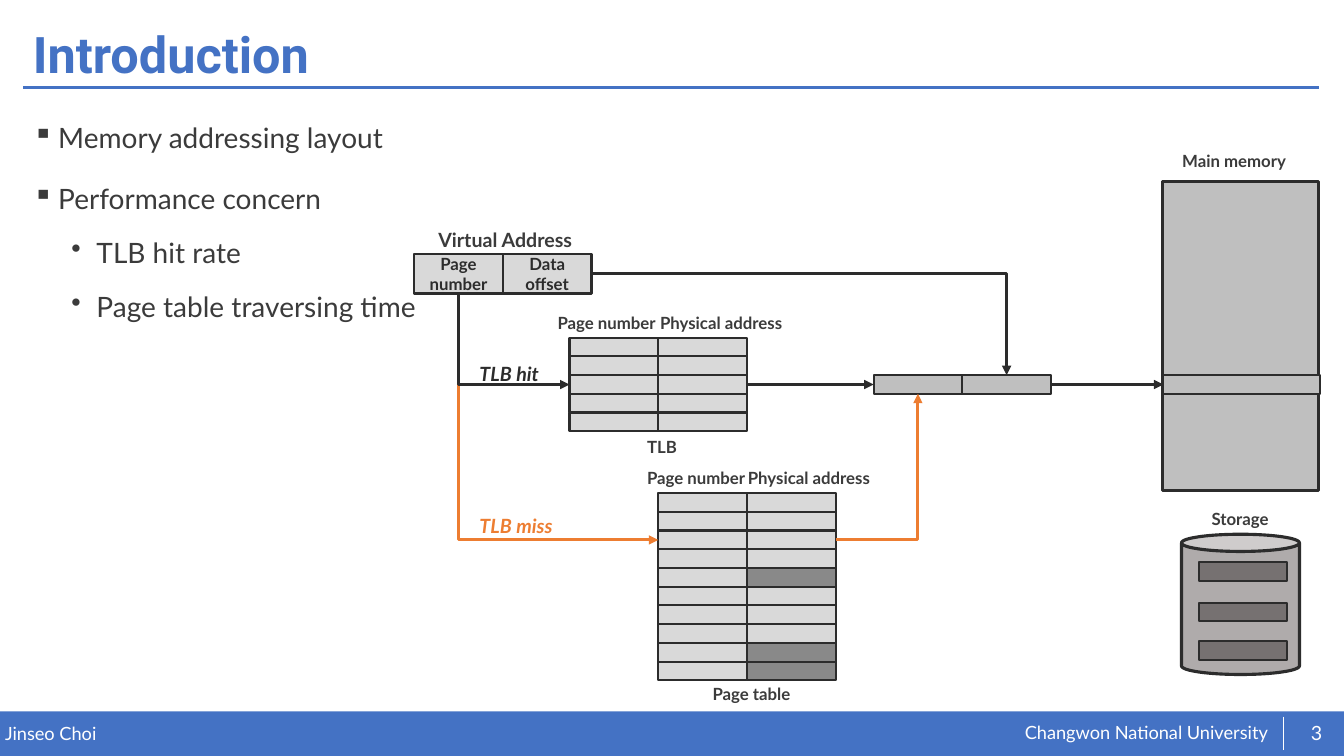
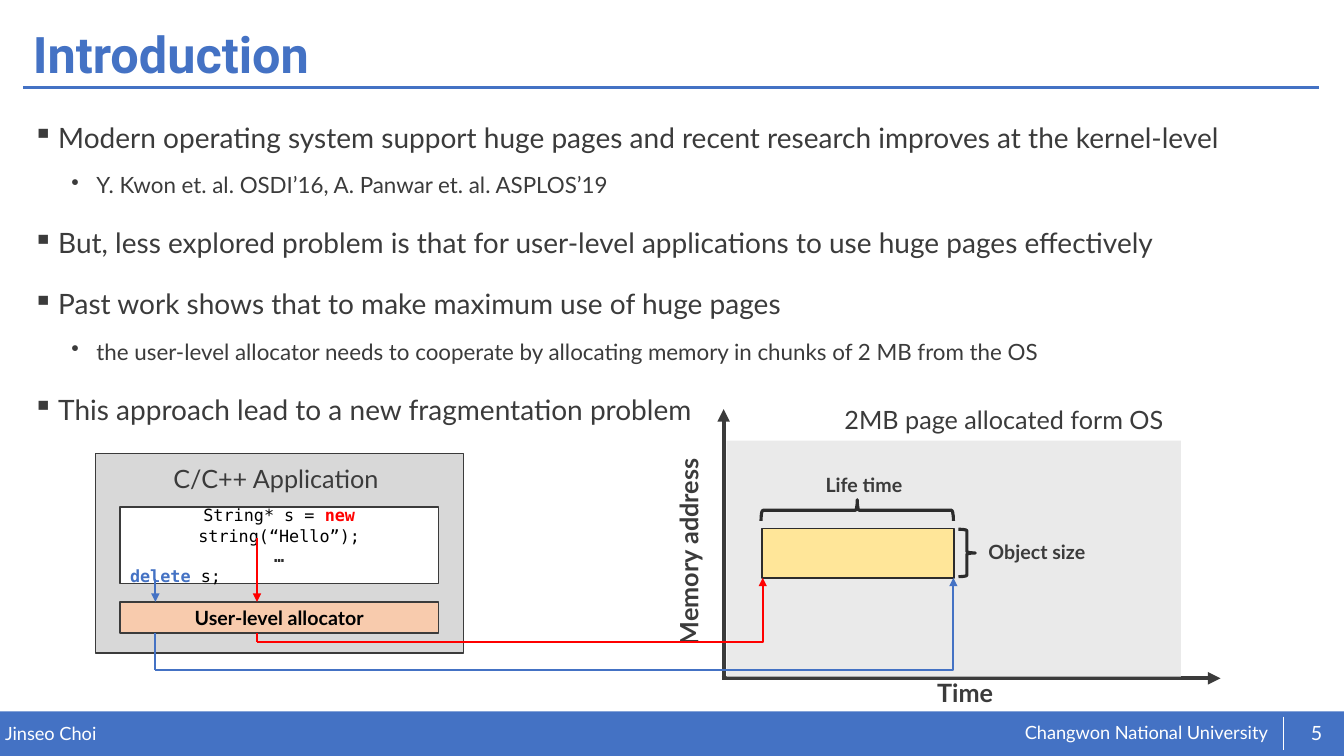
from lxml import etree
from pptx import Presentation
from pptx.dml.color import RGBColor
from pptx.enum.shapes import MSO_CONNECTOR, MSO_SHAPE
from pptx.enum.text import MSO_ANCHOR, PP_ALIGN
from pptx.oxml.ns import qn
from pptx.util import Inches, Pt

RECT, CAN, BRACE = MSO_SHAPE.RECTANGLE, MSO_SHAPE.CAN, MSO_SHAPE.LEFT_BRACE
STRAIGHT, ELBOW = MSO_CONNECTOR.STRAIGHT, MSO_CONNECTOR.ELBOW
LEFT, CENTER = PP_ALIGN.LEFT, PP_ALIGN.CENTER
TOP, MIDDLE = MSO_ANCHOR.TOP, MSO_ANCHOR.MIDDLE
LEFT_SIDE, RIGHT_SIDE = 1, 3
ACROSS_FIRST, DOWN_FIRST = 100000, 0

SLIDE_W, SLIDE_H = Inches(13.33), Inches(7.5)
COLUMNS, ROWS = 160, 90
CELL_W, CELL_H = 10.56, 2.23

SANS, HEADING, MONO = "Lato", "Roboto", "DejaVu Sans Mono"
BLUE, ORANGE, RED, WHITE, BLACK = "4472C4", "ED7D31", "FF0000", "FFFFFF", "000000"
TEXT, INK = "3B3B3B", "2C2C2C"
PALE, MID_GREY, DARK_GREY = "D9D9D9", "BFBFBF", "898989"


def rgb(value):
    """Turn a hex string into a colour."""
    return RGBColor.from_string(value)


def col(count):
    """Length of a number of grid columns."""
    return round(SLIDE_W * count / COLUMNS)


def row(count):
    """Length of a number of grid rows."""
    return round(SLIDE_H * count / ROWS)


def place(box):
    """Turn a grid box (left, top, width, height) into lengths."""
    left, top, width, height = box
    return col(left), row(top), col(width), row(height)


def add_run(paragraph, text, size, color=TEXT, font=SANS, bold=False, italic=False):
    """Append one styled run."""
    run = paragraph.add_run()
    run.text = text
    run.font.size, run.font.name = Pt(size), font
    run.font.bold, run.font.italic = bold, italic
    run.font.color.rgb = rgb(color)


def label(slide, box, text, size=12, align=LEFT, anchor=TOP, inset=True, **style):
    """Add a one-line text box."""
    caption = slide.shapes.add_textbox(*place(box))
    frame = caption.text_frame
    frame.word_wrap, frame.vertical_anchor = True, anchor
    if not inset:
        frame.margin_left = frame.margin_right = 0
        frame.margin_top = frame.margin_bottom = 0
    frame.paragraphs[0].alignment = align
    add_run(frame.paragraphs[0], text, size, **style)
    return caption


def block(slide, box, fill=None, line=INK, width=1.5, kind=RECT, rotation=0):
    """Add a preset shape with optional fill and outline."""
    shape = slide.shapes.add_shape(kind, *place(box))
    shape.shadow.inherit = False
    shape.rotation = rotation
    if fill:
        shape.fill.solid()
        shape.fill.fore_color.rgb = rgb(fill)
    else:
        shape.fill.background()
    if line:
        shape.line.color.rgb = rgb(line)
        shape.line.width = Pt(width)
    else:
        shape.line.fill.background()
    return shape


def write(shape, lines):
    """Fill a shape with (alignment, runs) lines, each run being (text, style)."""
    frame = shape.text_frame
    frame.word_wrap, frame.vertical_anchor = True, MIDDLE
    for index, (align, runs) in enumerate(lines):
        paragraph = frame.add_paragraph() if index else frame.paragraphs[0]
        paragraph.alignment = align
        for text, style in runs:
            add_run(paragraph, text, **style)


def connect(slide, start, end, color=INK, width=2.25, arrow=True, bend=None):
    """Draw a straight connector, or one bent at a share of its width."""
    kind = STRAIGHT if bend is None else ELBOW
    link = slide.shapes.add_connector(
        kind, col(start[0]), row(start[1]), col(end[0]), row(end[1]))
    link.line.color.rgb = rgb(color)
    link.line.width = Pt(width)
    properties = link._element.spPr
    if bend is not None:
        guides = properties.find(qn("a:prstGeom")).get_or_add_avLst()
        etree.SubElement(guides, qn("a:gd"), name="adj1", fmla=f"val {bend}")
    if arrow:
        etree.SubElement(properties.find(qn("a:ln")), qn("a:tailEnd"), type="triangle")
    etree.SubElement(properties, qn("a:effectLst"))
    return link


def join(slide, source, target):
    """Draw an arrow from the right side of one box to the left of the next."""
    link = connect(slide, (0, 0), (1, 1))
    link.begin_connect(source, RIGHT_SIDE)
    link.end_connect(target, LEFT_SIDE)


def cell_grid(slide, left, top, rows, fill=PALE, dark=()):
    """Draw a two-column lookup table and return its cells by (row, column)."""
    return {
        (r, c): block(slide, (left + c * CELL_W, top + r * CELL_H, CELL_W, CELL_H),
                      DARK_GREY if (r, c) in dark else fill)
        for r in range(rows) for c in range(2)}


def bullets(slide, items):
    """Write the body as (level, size, text) bullets."""
    body = slide.shapes.add_textbox(*place((2.75, 12.1, 154.3, 67.6)))
    frame = body.text_frame
    frame.word_wrap = True
    for index, (level, size, text) in enumerate(items):
        paragraph = frame.add_paragraph() if index else frame.paragraphs[0]
        properties = paragraph._p.get_or_add_pPr()
        properties.set("marL", str(Inches(0.63 if level else 0.25)))
        properties.set("indent", str(-Inches(0.25)))
        etree.SubElement(properties, qn("a:buChar"), char="•" if level else "▪")
        paragraph.level = level
        paragraph.line_spacing = 1.4
        paragraph.space_before = Pt((5 if level else 10) if index else 0)
        add_run(paragraph, text, size)


def new_slide(deck, title, number):
    """Add a slide with the shared title, rule and footer."""
    slide = deck.slides.add_slide(deck.slide_layouts[6])
    block(slide, (0, 84.7, COLUMNS, 5.3), BLUE, None)
    footer = {"color": WHITE, "inset": False}
    label(slide, (122, 85.9, 30, 2.8), "Changwon National University", 13, **footer)
    label(slide, (0.6, 86, 78.6, 2.7), "Jinseo Choi", 13, **footer)
    connect(slide, (2.75, 10.45), (157, 10.45), BLUE, 2, arrow=False)
    connect(slide, (152.75, 85.3), (152.75, 89.3), WHITE, 0.5, arrow=False)
    heading = label(slide, (2.75, 2.15, 154.3, 9.25), title, 36, anchor=MIDDLE,
                    color=BLUE, font=HEADING, bold=True)
    heading.text_frame.paragraphs[0].line_spacing = 0.9
    label(slide, (153.85, 84.85, 5.75, 4.8), str(number), 14, CENTER, MIDDLE, **footer)
    return slide


def addressing_slide(deck):
    """Show how a virtual address is translated."""
    slide = new_slide(deck, "Introduction", 3)
    bullets(slide, [
        (0, 20, "Memory addressing layout"),
        (0, 20, "Performance concern"),
        (1, 20, "TLB hit rate"),
        (1, 20, "Page table traversing time")])

    tlb_left, tlb_top = 67.8, 40.2
    table_left, table_top = tlb_left + CELL_W, 58.7
    hit_top = tlb_top + 2 * CELL_H
    hit_middle = hit_top + CELL_H / 2
    miss_middle = table_top + 2.5 * CELL_H
    address_left, virtual_left, virtual_top, virtual_height = 104, 49.3, 30.25, 4.7
    memory_left, memory_width = 138.4, 18.6
    page_x = virtual_left + CELL_W / 2
    virtual_bottom = virtual_top + virtual_height

    for left, top, width, text, size in [
            (139.55, 17.3, 18, "Main memory", 12),
            (143.05, 60, 14, "Storage", 12),
            (51, 26.5, 21.4, "Virtual Address", 14),
            (65.2, 36.6, 14.6, "Page number", 12),
            (77.4, 36.6, 26.8, "Physical address", 12),
            (75.85, 55.15, 14.6, "Page number", 12),
            (87.85, 55.15, 26.8, "Physical address", 12),
            (75.85, 51.4, 26.8, "TLB", 12),
            (83.65, 80.75, 26.8, "Page table", 12)]:
        label(slide, (left, top, width, 3.6), text, size, bold=True)

    tlb = cell_grid(slide, tlb_left, tlb_top, 5)
    cell_grid(slide, table_left, table_top, 10, dark={(4, 1), (8, 1), (9, 1)})
    address = cell_grid(slide, address_left, hit_top, 1, MID_GREY)

    storage = block(slide, (140.65, 63.6, 14.05, 16.7), "AFABAB", width=2.25, kind=CAN)
    storage.adjustments[0] = 0.146
    for top in (66.95, 71.75, 76.35):
        block(slide, (142.7, top, CELL_W, CELL_H), "767171")

    for index, text in enumerate(("Page number", "Data offset")):
        part = block(slide, (virtual_left + index * CELL_W, virtual_top,
                             CELL_W, virtual_height), PALE)
        write(part, [(CENTER, [(text, {"size": 12, "color": INK, "bold": True})])])

    block(slide, (memory_left, 21.6, memory_width, 36.85), MID_GREY, width=2.25)
    memory_page = block(slide, (memory_left + 0.1, hit_top, memory_width, CELL_H), MID_GREY)

    connect(slide, (virtual_left + 2 * CELL_W, virtual_top + virtual_height / 2),
            (address_left + 1.5 * CELL_W, hit_top), bend=ACROSS_FIRST)
    join(slide, tlb[2, 1], address[0, 0])
    join(slide, address[0, 1], memory_page)
    connect(slide, (page_x, virtual_bottom), (table_left, miss_middle),
            ORANGE, bend=DOWN_FIRST)
    connect(slide, (table_left + 2 * CELL_W, miss_middle),
            (address_left + CELL_W / 2, hit_top + CELL_H), ORANGE, bend=ACROSS_FIRST)
    connect(slide, (page_x, virtual_bottom), (tlb_left, hit_middle), bend=DOWN_FIRST)

    for top, text, color in ((60.6, "TLB miss", ORANGE), (42.5, "TLB hit", INK)):
        label(slide, (55.9, top, 15.4, 4), text, 14, color=color, bold=True, italic=True)


def fragmentation_slide(deck):
    """Show how object life time fragments a huge page."""
    slide = new_slide(deck, "Introduction", 5)
    bullets(slide, [
        (0, 20, "Modern operating system support huge pages and recent research "
                "improves at the kernel-level"),
        (1, 16, "Y. Kwon et. al. OSDI’16, A. Panwar et. al. ASPLOS’19"),
        (0, 20, "But, less explored problem is that for user-level applications "
                "to use huge pages effectively"),
        (0, 20, "Past work shows that to make maximum use of huge pages"),
        (1, 16, "the user-level allocator needs to cooperate by allocating memory "
                "in chunks of 2 MB from the OS"),
        (0, 20, "This approach lead to a new fragmentation problem")])

    block(slide, (11.4, 54, 43.8, 23.75), "D8D8D8", TEXT, 1)
    label(slide, (19.45, 54.6, 27.7, 5), "C/C++ Application", 18)
    code = block(slide, (14.3, 60.35, 37.9, 9.15), WHITE, TEXT, 1)
    plain = {"size": 12, "font": MONO, "color": BLACK}
    strong = {**plain, "bold": True}
    write(code, [
        (CENTER, [("String* s = ", plain), ("new", {**strong, "color": RED}),
                  (" string(“Hello”);", plain)]),
        (CENTER, [("…", {**strong, "color": INK})]),
        (LEFT, [("delete ", {**strong, "color": BLUE}), ("s;", plain)])])
    allocator = block(slide, (14.3, 71.65, 37.9, 3.7), "F8CBAD", TEXT, 1)
    write(allocator, [(CENTER, [("User-level allocator",
                                 {"size": 14, "color": BLACK, "bold": True})])])

    axis_y = 80.75
    connect(slide, (85.9, axis_y), (145.3, axis_y), TEXT, 3)
    connect(slide, (86.15, axis_y), (86.15, 48.7), TEXT, 3)
    block(slide, (86.5, 52.45, 54.1, 28.1), "EAEAEA", None)
    label(slide, (99.35, 47.5, 45.8, 4.8), "2MB page allocated form OS", 18)
    block(slide, (90.7, 62.9, 22.9, 5.9), "FFE699", width=1)
    memory_axis = label(slide, (66.55, 59, 32, 6), "Memory address", 18, bold=True)
    memory_axis.rotation = 270
    label(slide, (110.4, 80, 20, 4.8), "Time", 18, bold=True)
    block(slide, (100.8, 49.3, 2.5, 22.9), width=2.25, kind=BRACE, rotation=90)
    label(slide, (97.1, 55.7, 20, 4), "Life time", 14, bold=True)
    block(slide, (114.1, 63, 2, 5.65), width=2.25, kind=BRACE, rotation=180)
    label(slide, (116.5, 63.7, 20, 4), "Object size", 14, bold=True)

    for call_x, call_y, turn_y, object_x, color in (
            (30.6, 64, 76.4, 90.8, RED), (18.5, 68.9, 79.8, 113.5, BLUE)):
        connect(slide, (call_x, call_y), (call_x, 71.65), color, 1.5)
        connect(slide, (call_x, 75.4), (call_x, turn_y), color, 1.5, arrow=False)
        connect(slide, (call_x, turn_y), (object_x, 68.8), color, 1.5, bend=ACROSS_FIRST)


def main():
    """Build and save the deck."""
    deck = Presentation()
    deck.slide_width, deck.slide_height = SLIDE_W, SLIDE_H
    addressing_slide(deck)
    fragmentation_slide(deck)
    deck.save("out.pptx")


if __name__ == "__main__":
    main()
